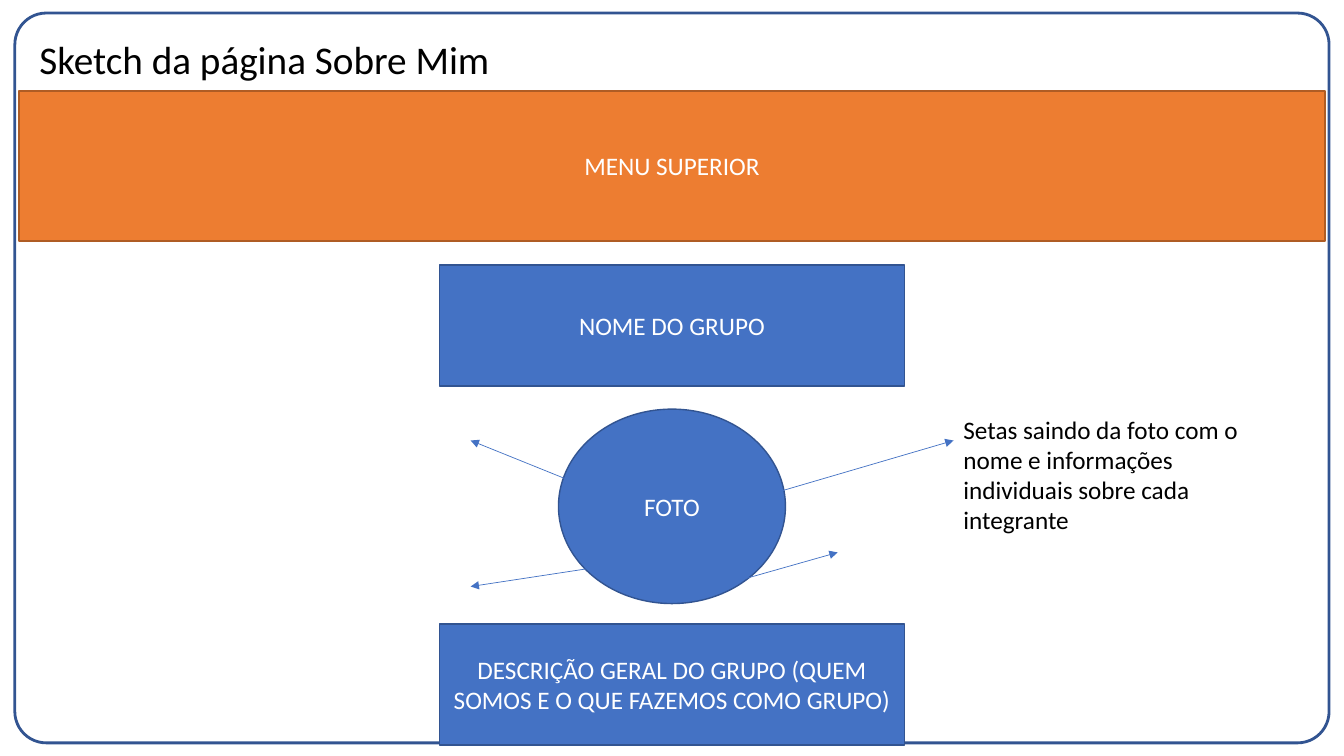
"""Build the sketch slide of the "Sobre Mim" page."""
from dataclasses import dataclass

from pptx import Presentation
from pptx.dml.color import RGBColor
from pptx.enum.shapes import MSO_CONNECTOR, MSO_SHAPE
from pptx.enum.text import MSO_ANCHOR, MSO_AUTO_SIZE, PP_ALIGN
from pptx.oxml.ns import qn
from pptx.util import Cm, Pt
from lxml.etree import SubElement

TITLE = "Sketch da página Sobre Mim"
NOTE = "Setas saindo da foto com o nome e informações individuais sobre cada integrante"
BLOCKS = [
    ("NOME DO GRUPO", MSO_SHAPE.RECTANGLE, 6.68, 11.71, 3.05, "blue"),
    ("MENU SUPERIOR", MSO_SHAPE.RECTANGLE, 2.29, 32.92, 3.78, "orange"),
    ("FOTO", MSO_SHAPE.OVAL, 10.31, 5.72, 4.9, "blue"),
    ("DESCRIÇÃO GERAL DO GRUPO (QUEM SOMOS E O QUE FAZEMOS COMO GRUPO)",
     MSO_SHAPE.RECTANGLE, 15.72, 11.71, 3.05, "blue"),
]
ARROWS = [
    ((19.08, 12.55), (24.03, 11.1)),
    ((18.08, 14.78), (21.11, 13.92)),
    ((14.81, 12.29), (11.86, 11.1)),
    ((14.81, 14.33), (11.86, 14.78)),
]
WIDTH, HEIGHT = 33.87, 19.05


@dataclass(frozen=True)
class Theme:
    """Colours, font and type sizes of the slide."""
    font: str = "Calibri"
    head: int = 28
    body: int = 18
    ink: str = "000000"
    paper: str = "FFFFFF"
    fills = {"blue": ("4472C4", "325491"), "orange": ("ED7D31", "AF5C24")}


THEME = Theme()


def write(frame, text, size, color, align=PP_ALIGN.LEFT):
    """Put one formatted paragraph in a text frame."""
    frame.text = text
    frame.word_wrap = True
    para = frame.paragraphs[0]
    para.alignment = align
    font = para.runs[0].font
    font.name, font.size = THEME.font, Pt(size)
    font.color.rgb = RGBColor.from_string(color)


def stroke(line, color, width):
    """Set the colour and width of a line."""
    line.color.rgb = RGBColor.from_string(color)
    line.width = Pt(width)


def center(slide, kind, top, width, height):
    """Add a shape centred across the slide."""
    left = (WIDTH - width) / 2
    shape = slide.shapes.add_shape(kind, Cm(left), Cm(top), Cm(width), Cm(height))
    shape.shadow.inherit = False
    return shape


def add_frame(slide):
    """Add the rounded border of the page."""
    shape = center(slide, MSO_SHAPE.ROUNDED_RECTANGLE, 0.33, 33.12, 18.39)
    shape.adjustments[0] = 0.043
    shape.fill.background()
    stroke(shape.line, THEME.fills["blue"][1], 2)


def add_title(slide):
    """Fill and place the title."""
    title = slide.shapes.title
    title.left, title.top = Cm(0.74), Cm(-0.28)
    title.width, title.height = Cm(29.21), Cm(3.68)
    frame = title.text_frame
    write(frame, TITLE, THEME.head, THEME.ink)
    frame.auto_size = MSO_AUTO_SIZE.NONE
    frame.vertical_anchor = MSO_ANCHOR.MIDDLE
    frame.paragraphs[0].line_spacing = 0.9


def add_block(slide, text, kind, top, width, height, tone):
    """Add one labelled area of the page."""
    fill, edge = THEME.fills[tone]
    shape = center(slide, kind, top, width, height)
    shape.fill.solid()
    shape.fill.fore_color.rgb = RGBColor.from_string(fill)
    stroke(shape.line, edge, 1)
    write(shape.text_frame, text, THEME.body, THEME.paper, PP_ALIGN.CENTER)
    shape.text_frame.vertical_anchor = MSO_ANCHOR.MIDDLE


def add_arrow(slide, start, end):
    """Add an arrow that leaves the photo."""
    ends = [Cm(value) for value in start + end]
    arrow = slide.shapes.add_connector(MSO_CONNECTOR.STRAIGHT, *ends)
    stroke(arrow.line, THEME.fills["blue"][0], 0.5)
    props = arrow.line._get_or_add_ln()
    SubElement(props, qn("a:tailEnd"), type="triangle")
    SubElement(props.getparent(), qn("a:effectLst"))


def add_note(slide):
    """Add the note beside the photo."""
    box = slide.shapes.add_textbox(Cm(24.03), Cm(10.31), Cm(7.98), Cm(3.33))
    write(box.text_frame, NOTE, THEME.body, THEME.ink)
    box.text_frame.auto_size = MSO_AUTO_SIZE.SHAPE_TO_FIT_TEXT


def main():
    """Build and save the deck."""
    deck = Presentation()
    deck.slide_width, deck.slide_height = Cm(WIDTH), Cm(HEIGHT)
    slide = deck.slides.add_slide(deck.slide_layouts[5])
    add_frame(slide)
    add_title(slide)
    for block in BLOCKS:
        add_block(slide, *block)
    for start, end in ARROWS:
        add_arrow(slide, start, end)
    add_note(slide)
    deck.save("out.pptx")


if __name__ == "__main__":
    main()
